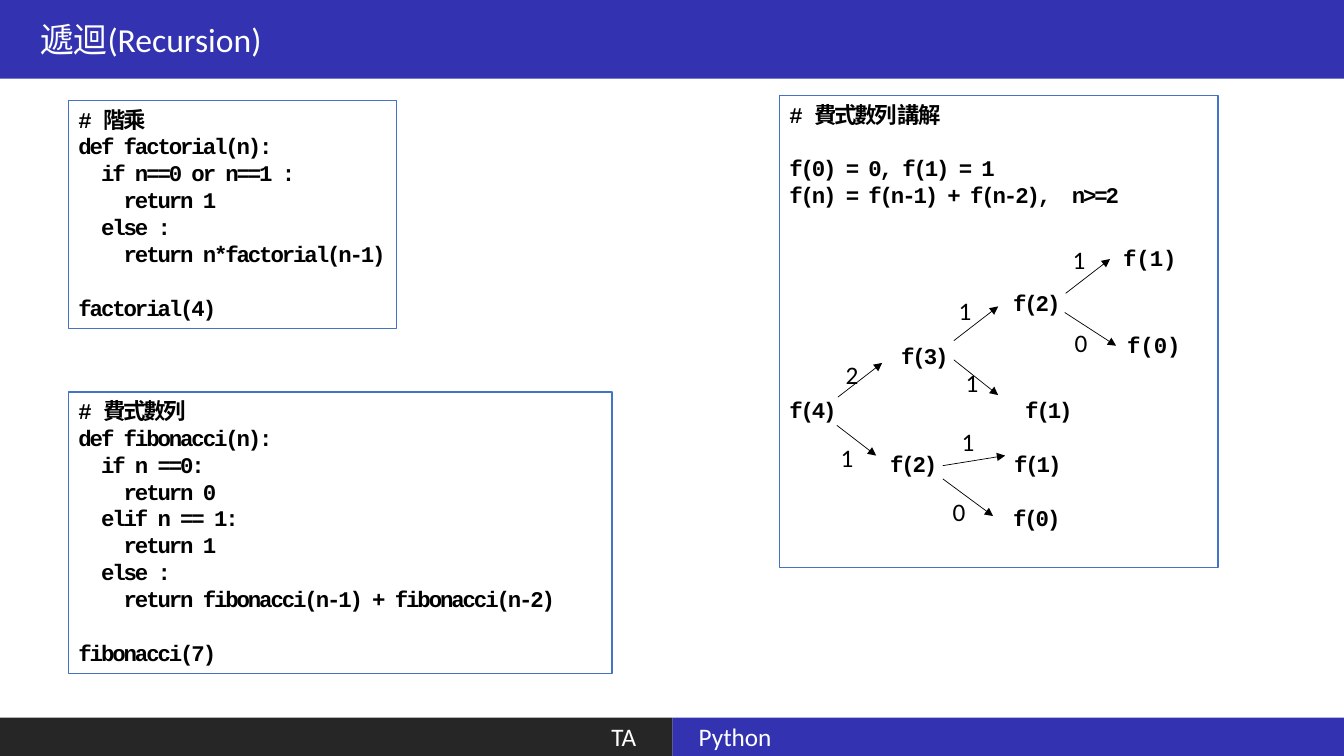
from dataclasses import dataclass

from lxml.etree import SubElement
from pptx import Presentation
from pptx.dml.color import RGBColor
from pptx.enum.shapes import MSO_CONNECTOR as Connector, MSO_SHAPE as Shape
from pptx.enum.text import MSO_ANCHOR as Anchor, MSO_AUTO_SIZE as AutoSize, PP_ALIGN as Align
from pptx.oxml.ns import qn
from pptx.util import Inches, Pt


@dataclass(frozen=True)
class Theme:
    bar: RGBColor = RGBColor(0x33, 0x33, 0xB2)
    dark: RGBColor = RGBColor(0x26, 0x26, 0x26)
    border: RGBColor = RGBColor(0x44, 0x72, 0xC4)
    paper: RGBColor = RGBColor(0xFF, 0xFF, 0xFF)
    ink: RGBColor = RGBColor(0, 0, 0)
    sans: str = "Calibri"
    mono: str = "Courier New"
    title_size: Pt = Pt(24)
    label_size: Pt = Pt(18)
    code_size: Pt = Pt(16)
    code_pitch: Pt = Pt(19.2)


THEME = Theme()
TITLE_FONT = {"name": THEME.sans, "size": THEME.title_size, "bold": False}
LABEL_FONT = {"name": THEME.sans, "size": THEME.label_size}
CODE_FONT = {"name": THEME.mono, "size": THEME.code_size, "bold": True}

FACTORIAL = """# 階乘
def factorial(n):
  if n==0 or n==1 :
    return 1
  else :
    return n*factorial(n-1)

factorial(4)"""

FIBONACCI = """# 費式數列
def fibonacci(n):
  if n ==0:
    return 0
  elif n == 1:
    return 1
  else :
    return fibonacci(n-1) + fibonacci(n-2)

fibonacci(7)"""

EXPLANATION = """# 費式數列 講解

f(0) = 0, f(1) = 1
f(n) = f(n-1) + f(n-2),  n>=2



\tf(2)

\tf(3)

f(4)\tf(1)

\tf(2)\tf(1)

\tf(0)"""

# Tab stops in inches, by line of EXPLANATION
TREE_TABS = {7: [2.22], 9: [1.11], 11: [2.34], 13: [1.0, 2.23], 15: [2.22]}

# Arrow start, arrow end, top left of the returned value, value
CALLS = [
    ((8.31, 3.94), (8.75, 3.6), (8.29, 3.52), "2"),
    ((8.3, 4.22), (8.69, 4.52), (8.24, 4.34), "1"),
    ((9.46, 3.38), (9.9, 3.04), (9.41, 2.88), "1"),
    ((9.46, 3.57), (9.9, 3.92), (9.48, 3.59), "1"),
    ((9.35, 4.62), (9.97, 4.52), (9.44, 4.18), "1"),
    ((9.35, 4.75), (9.85, 5.12), (9.35, 4.87), "0"),
    ((10.57, 2.91), (11.01, 2.57), (10.54, 2.37), "1"),
    ((10.56, 3.1), (11.07, 3.43), (10.56, 3.2), "0"),
]
LEAVES = [((11.04, 2.37), "f(1)"), ((11.08, 3.24), "f(0)")]


def add_run(paragraph, text, font, color):
    run = paragraph.add_run()
    run.text = text
    for attribute, value in font.items():
        setattr(run.font, attribute, value)
    run.font.color.rgb = color
    return run


def add_panel(shapes, box, fill):
    panel = shapes.add_shape(Shape.RECTANGLE, *map(Inches, box))
    panel.shadow.inherit = False
    panel.fill.solid()
    panel.fill.fore_color.rgb = fill
    panel.line.fill.background()
    return panel


def write_bar(bar, text, font, align, inset):
    frame = bar.text_frame
    frame.word_wrap = True
    frame.auto_size = AutoSize.NONE
    frame.vertical_anchor = Anchor.MIDDLE
    frame.margin_left = frame.margin_right = Inches(inset)
    paragraph = frame.paragraphs[0]
    paragraph.alignment = align
    add_run(paragraph, text, font, THEME.paper)


def add_title(slide, text):
    title = slide.shapes.title
    title.left, title.top, title.width, title.height = map(Inches, (0, 0, 13.33, 0.78))
    title.fill.solid()
    title.fill.fore_color.rgb = THEME.bar
    write_bar(title, text, TITLE_FONT, Align.LEFT, 0.4)


def add_tab_stops(paragraph, stops):
    tab_list = SubElement(paragraph._p.get_or_add_pPr(), qn("a:tabLst"))
    for stop in stops:
        SubElement(tab_list, qn("a:tab"), pos=str(Inches(stop)), algn="l")


def add_code(shapes, box, code, tabs=None):
    """Frame the code; an empty line becomes space before the next one."""
    panel = add_panel(shapes, box, THEME.paper)
    panel.line.color.rgb = THEME.border
    panel.line.width = Pt(1)
    frame = panel.text_frame
    frame.word_wrap = True
    frame.vertical_anchor = Anchor.TOP
    skipped = 0
    for number, line in enumerate(code.split("\n")):
        if not line:
            skipped += 1
            continue
        paragraph = frame.add_paragraph() if number else frame.paragraphs[0]
        paragraph.alignment = Align.LEFT
        paragraph.line_spacing = THEME.code_pitch
        if skipped:
            paragraph.space_before = skipped * THEME.code_pitch
        if tabs and number in tabs:
            add_tab_stops(paragraph, tabs[number])
        run = add_run(paragraph, line, CODE_FONT, THEME.ink)
        run._r.get_or_add_rPr().set("spc", "-150")
        skipped = 0


def add_label(shapes, corner, size, text, font):
    label = shapes.add_textbox(*map(Inches, corner + size))
    label.text_frame.word_wrap = True
    add_run(label.text_frame.paragraphs[0], text, font, THEME.ink)


def add_arrow(shapes, start, end):
    arrow = shapes.add_connector(Connector.STRAIGHT, *map(Inches, start + end))
    arrow.line.color.rgb = THEME.ink
    arrow.line.width = Pt(0.5)
    SubElement(arrow.line._get_or_add_ln(), qn("a:tailEnd"), type="triangle")
    SubElement(arrow._element.spPr, qn("a:effectLst"))


def add_call_tree(slide):
    tree = slide.shapes.add_group_shape().shapes
    add_code(tree, (7.73, 0.95, 4.35, 4.68), EXPLANATION, TREE_TABS)
    for start, end, corner, value in CALLS:
        add_arrow(tree, start, end)
        add_label(tree, corner, (0.44, 0.4), value, LABEL_FONT)
    for corner, call in LEAVES:
        add_label(tree, corner, (0.77, 0.37), call, CODE_FONT)


def main():
    deck = Presentation()
    deck.slide_width, deck.slide_height = Inches(13.33), Inches(7.5)
    slide = deck.slides.add_slide(deck.slide_layouts[5])
    add_title(slide, "遞迴(Recursion)")
    course = add_panel(slide.shapes, (6.67, 7.12, 6.67, 0.38), THEME.bar)
    write_bar(course, "Python", LABEL_FONT, Align.LEFT, 0.26)
    author = add_panel(slide.shapes, (0, 7.12, 6.67, 0.38), THEME.dark)
    write_bar(author, "TA", LABEL_FONT, Align.RIGHT, 0.36)
    add_code(slide.shapes, (0.68, 1, 3.25, 2.26), FACTORIAL)
    add_code(slide.shapes, (0.68, 3.89, 5.39, 2.79), FIBONACCI)
    add_call_tree(slide)
    deck.save("out.pptx")


if __name__ == "__main__":
    main()
